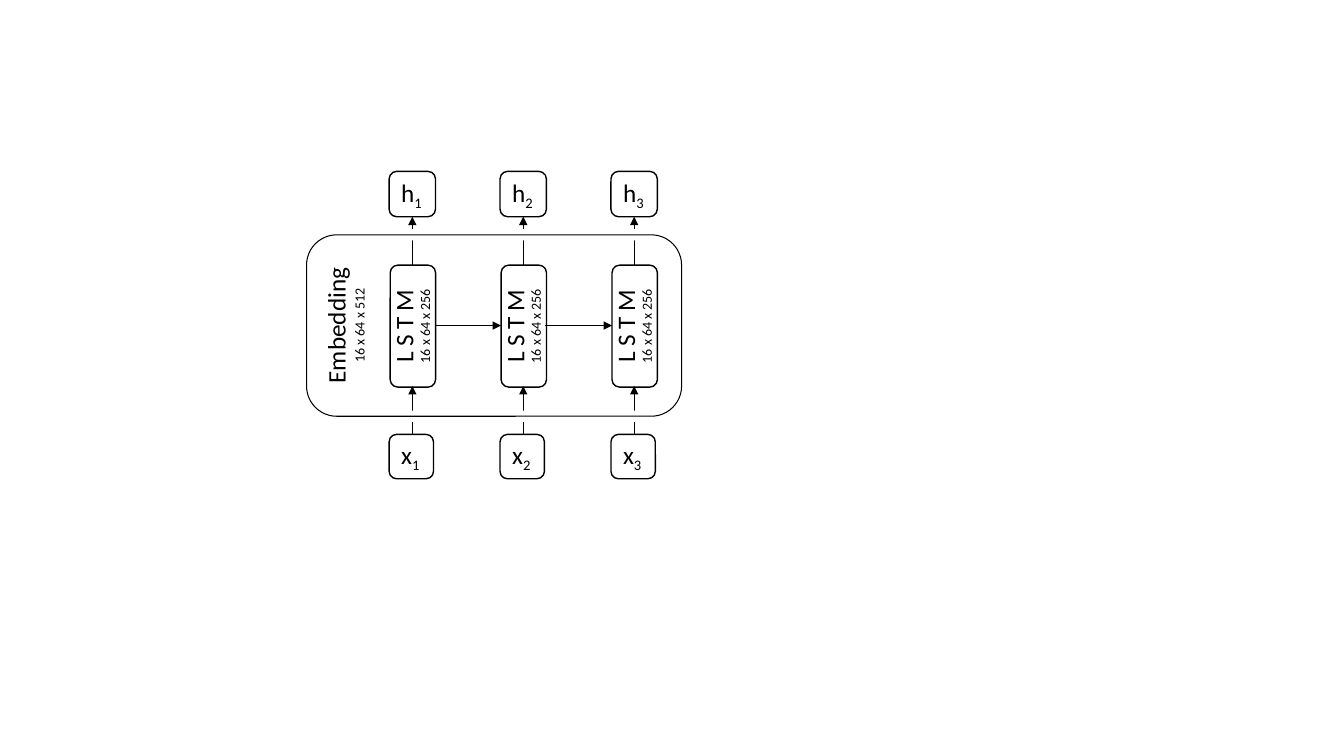
from dataclasses import dataclass, field

from pptx import Presentation
from pptx import util as u
from pptx.dml.color import RGBColor
from pptx.enum import shapes, text
from pptx.oxml import xmlchemy
from pptx.oxml.ns import qn
from lxml import etree

EMU_PER_PX = 9144  # 100 px to the inch


@dataclass(frozen=True)
class Theme:
    font: str = "Calibri"
    ink: str = "000000"
    paper: str = "FFFFFF"
    label_size: int = 18
    detail_size: int = 10
    box_line: float = 1
    arrow_line: float = 0.5
    frame_line: float = 0.75
    gap_line: float = 8


@dataclass(frozen=True)
class Span:
    text: str
    size: int
    subscript: bool = False


@dataclass(frozen=True)
class Box:
    left: int
    top: int
    width: int
    height: int
    line_color: str
    line_width: float
    filled: bool = True
    rotation: int = 0
    lines: tuple[tuple[Span, ...], ...] = ()
    frame_format: dict = field(default_factory=dict)
    para_format: dict = field(default_factory=dict)


@dataclass(frozen=True)
class Arrow:
    x1: int
    y1: int
    x2: int
    y2: int


THEME = Theme()
COLUMNS = 3
FIRST_CENTRE = 409
PITCH = 110
CELL_MIDDLE = 323
CELL_LENGTH, CELL_THICKNESS = 121, 45
INPUT_TOP, OUTPUT_TOP = 431, 170
FRAME_LEFT, FRAME_TOP, FRAME_WIDTH, FRAME_HEIGHT = 304, 233, 372, 180
FIT_FORMAT = {"word_wrap": False, "auto_size": text.MSO_AUTO_SIZE.SHAPE_TO_FIT_TEXT}


def px(value: int) -> u.Emu:
    return u.Emu(value * EMU_PER_PX)


def rgb(color: str) -> RGBColor:
    return RGBColor.from_string(color)


def apply_format(target, values: dict) -> None:
    for name, value in values.items():
        setattr(target, name, value)


def add_box(page, box: Box):
    shape = page.shapes.add_shape(
        shapes.MSO_SHAPE.ROUNDED_RECTANGLE,
        px(box.left), px(box.top), px(box.width), px(box.height))
    shape.shadow.inherit = False
    shape.rotation = box.rotation
    if box.filled:
        shape.fill.solid()
        shape.fill.fore_color.rgb = rgb(THEME.paper)
    else:
        shape.fill.background()
    shape.line.color.rgb = rgb(box.line_color)
    shape.line.width = u.Pt(box.line_width)
    frame = shape.text_frame
    apply_format(frame, {"word_wrap": True, **box.frame_format})
    for index, spans in enumerate(box.lines):
        para = frame.add_paragraph() if index else frame.paragraphs[0]
        apply_format(para, box.para_format)
        for span in spans:
            run = para.add_run()
            run.text = span.text
            apply_format(run.font, {"name": THEME.font, "size": u.Pt(span.size)})
            run.font.color.rgb = rgb(THEME.ink)
            if span.subscript:
                run._r.get_or_add_rPr().set("baseline", "-25000")
    return shape


def add_arrow(page, arrow: Arrow) -> None:
    line = page.shapes.add_connector(
        shapes.MSO_CONNECTOR.STRAIGHT,
        px(arrow.x1), px(arrow.y1), px(arrow.x2), px(arrow.y2))
    line.line.color.rgb = rgb(THEME.ink)
    line.line.width = u.Pt(THEME.arrow_line)
    properties = line._element.spPr
    etree.SubElement(properties.find(qn("a:ln")), qn("a:tailEnd"), type="triangle")
    etree.SubElement(properties, qn("a:effectLst"))


def state_box(letter: str, step: int, centre: int, top: int, width: int, height: int) -> Box:
    """Describe the input or output of one time step."""
    label = (Span(letter, THEME.label_size), Span(str(step), THEME.label_size, True))
    return Box(centre - 23, top, width, height, THEME.ink, THEME.box_line,
               lines=(label,), frame_format=FIT_FORMAT,
               para_format={"alignment": text.PP_ALIGN.LEFT})


def cell_box(centre: int) -> Box:
    return Box(
        centre - CELL_LENGTH // 2, CELL_MIDDLE - CELL_THICKNESS // 2,
        CELL_LENGTH, CELL_THICKNESS, THEME.ink, THEME.box_line, rotation=270,
        lines=((Span("L S T M", THEME.label_size),),
               (Span("16 x 64 x 256", THEME.detail_size),)),
        frame_format={"vertical_anchor": text.MSO_ANCHOR.MIDDLE},
        para_format={"alignment": text.PP_ALIGN.CENTER, "line_spacing": 0.85})


def add_embedding(page) -> None:
    """Add the frame; its wide paper-coloured edge interrupts the arrows."""
    place = (FRAME_LEFT, FRAME_TOP, FRAME_WIDTH, FRAME_HEIGHT)
    edge = add_box(page, Box(
        *place, THEME.paper, THEME.gap_line, filled=False,
        lines=((Span("Embedding", THEME.label_size),),
               (Span("16 x 64 x 512", THEME.detail_size),)),
        frame_format={"vertical_anchor": text.MSO_ANCHOR.TOP},
        para_format={"alignment": text.PP_ALIGN.CENTER}))
    edge.text_frame._txBody.bodyPr.set("vert", "vert270")
    add_box(page, Box(*place, THEME.ink, THEME.frame_line, filled=False))


def main() -> None:
    deck = Presentation()
    deck.slide_width, deck.slide_height = px(1333), px(750)
    page = deck.slides.add_slide(deck.slide_layouts[6])
    centres = [FIRST_CENTRE + PITCH * column for column in range(COLUMNS)]
    for step, centre in enumerate(centres, start=1):
        add_box(page, state_box("x", step, centre, INPUT_TOP, 44, 44))
        add_box(page, cell_box(centre))
        add_box(page, state_box("h", step, centre, OUTPUT_TOP, 46, 45))
        add_arrow(page, Arrow(centre, INPUT_TOP, centre, 383))
        add_arrow(page, Arrow(centre, 263, centre, 215))
    for start, end in zip(centres, centres[1:]):
        add_arrow(page, Arrow(start + 22, CELL_MIDDLE, end - 22, CELL_MIDDLE))
    add_embedding(page)
    deck.save("out.pptx")


if __name__ == "__main__":
    main()
